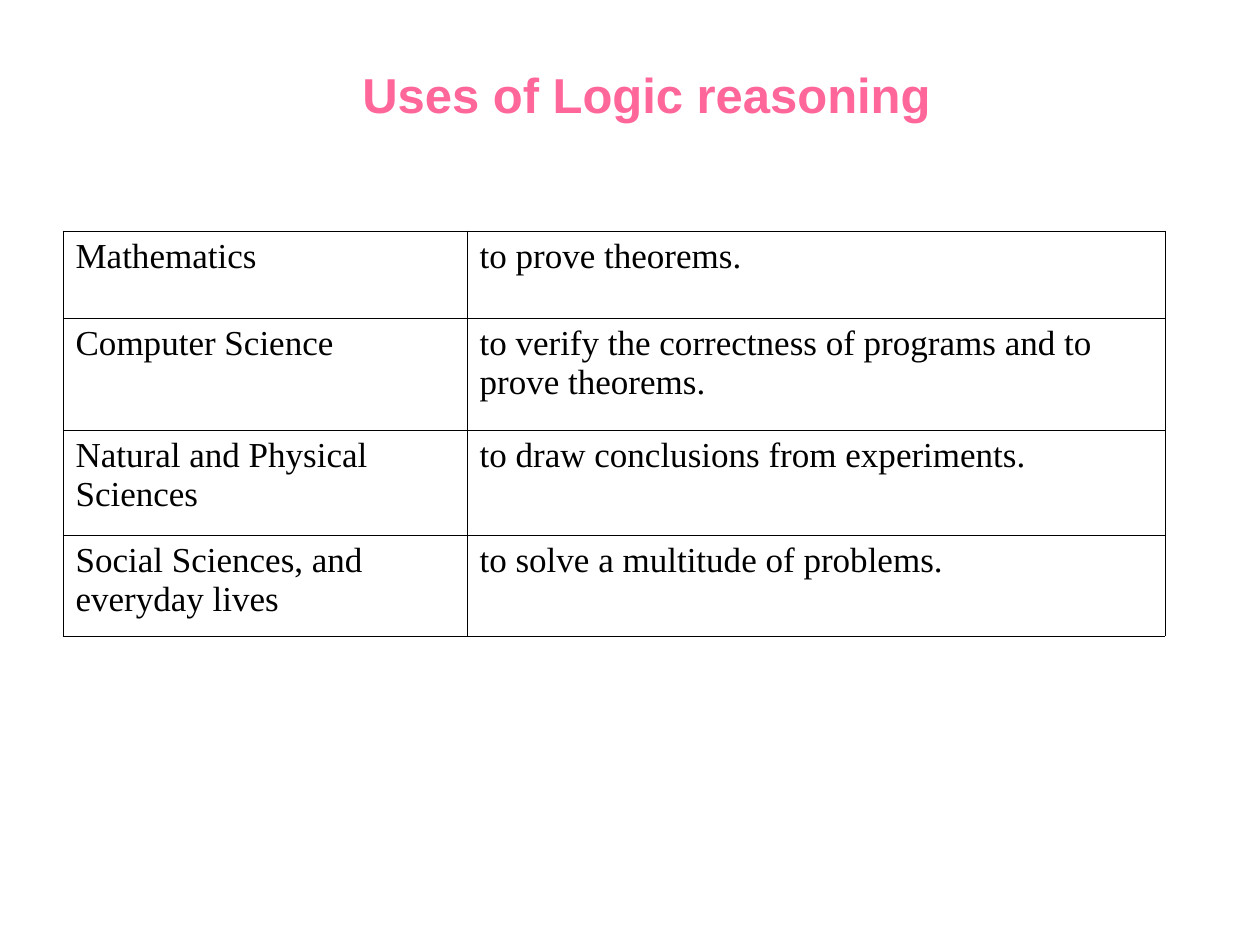
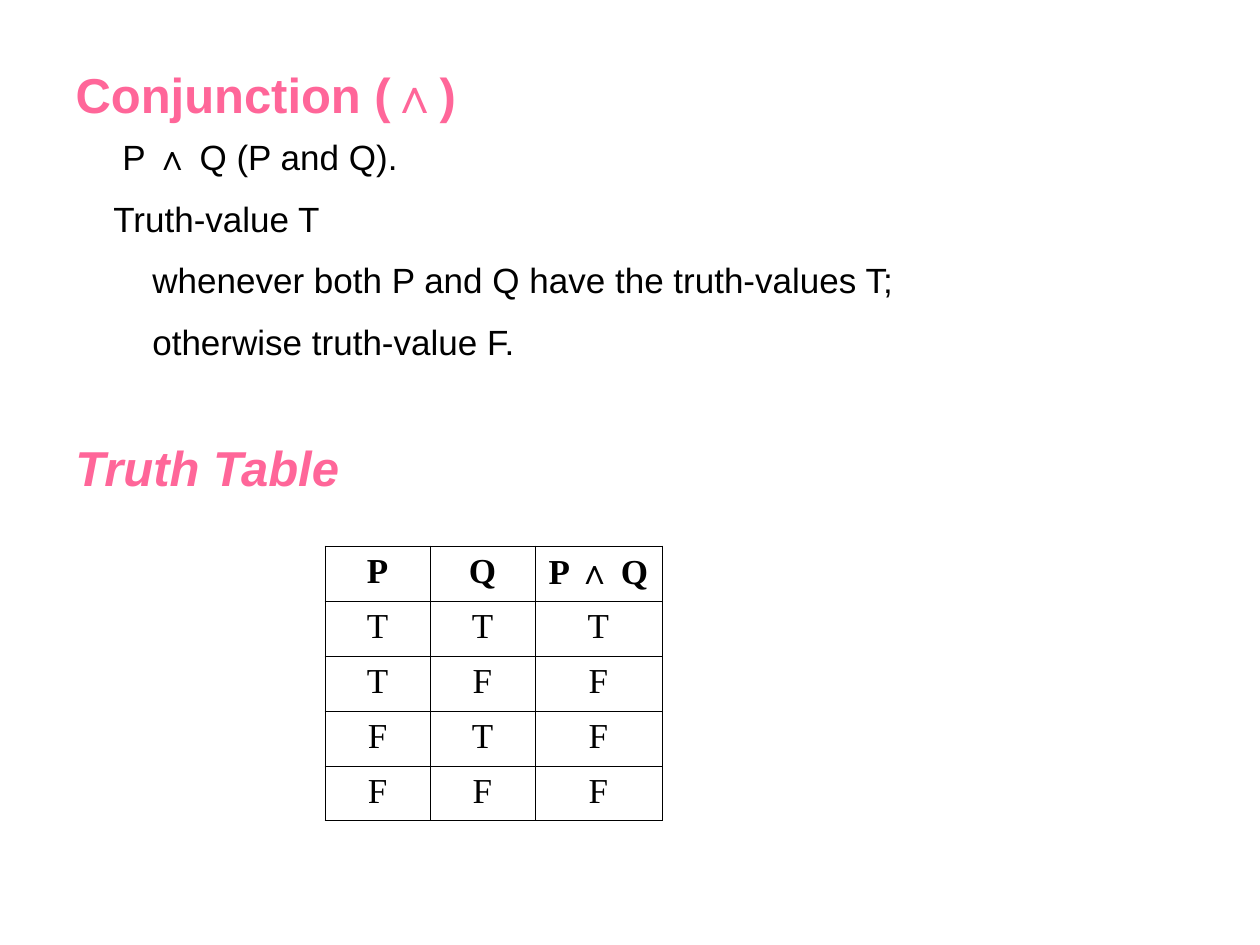
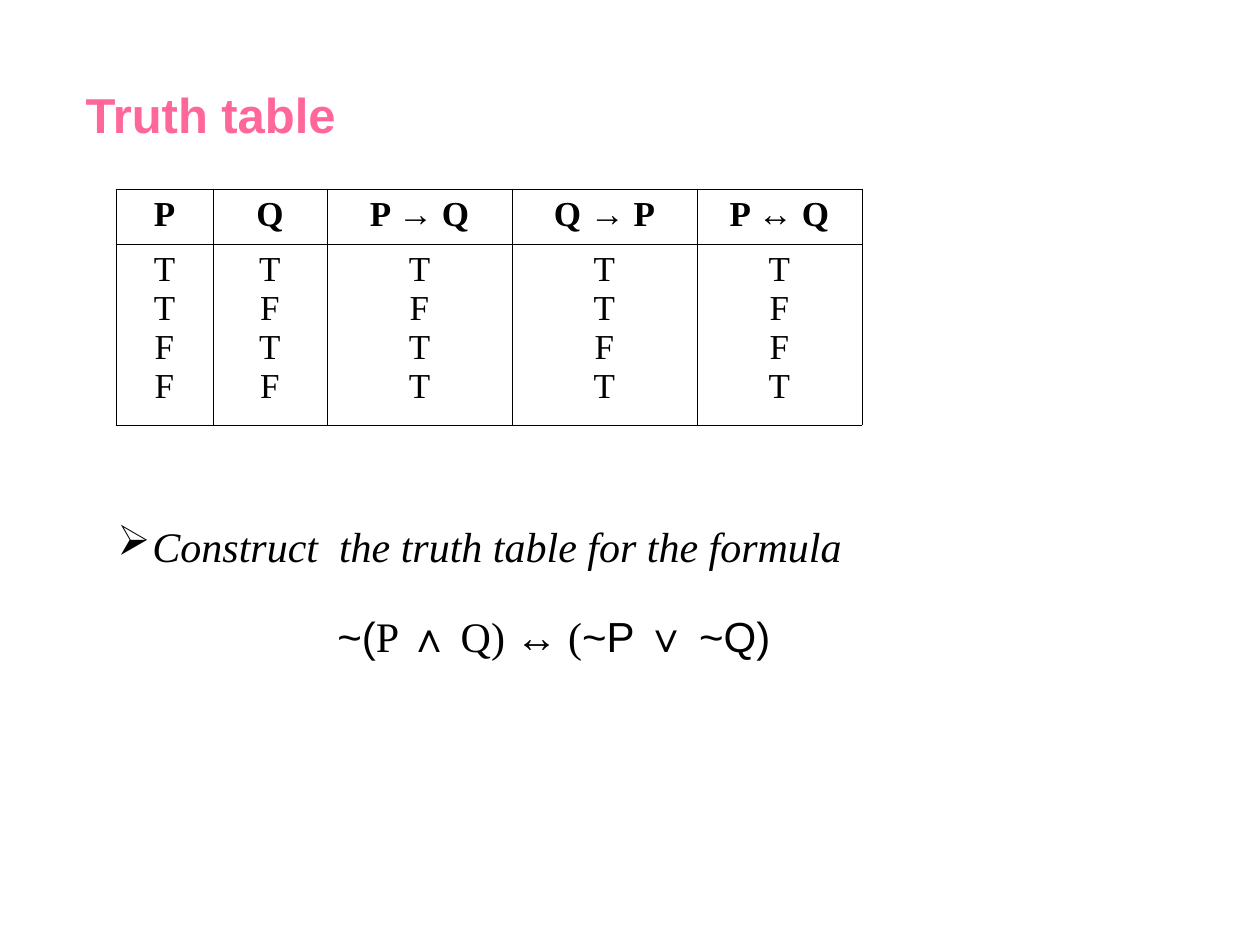
from lxml import etree
from pptx import Presentation
from pptx import util as u
from pptx.dml import color
from pptx.enum import text
from pptx.oxml import ns

PX = 914400 / 126
COLORS = {"heading": "FF6699", "ink": "000000"}
SANS, SERIF = "Arial", "Times New Roman"
LEFT, CENTER = text.PP_ALIGN.LEFT, text.PP_ALIGN.CENTER


def write(paragraph, content, size, font=SERIF, ink="ink", bold=False, italic=False, align=LEFT):
    """Fill a paragraph; pieces between bars are set in the sans font."""
    paragraph.alignment = align
    for index, piece in enumerate(content.split("|")):
        if not piece:
            continue
        run = paragraph.add_run()
        run.text = piece
        run.font.name = SANS if index % 2 else font
        run.font.size = u.Pt(size)
        run.font.bold, run.font.italic = bold, italic
        run.font.color.rgb = color.RGBColor.from_string(COLORS[ink])


def add_grid(slide, left, top, widths, heights, rows, header=True, align=CENTER):
    """Add an unfilled table with thin black rules."""
    box = [u.Emu(round(n * PX)) for n in (left, top, sum(widths), sum(heights))]
    table = slide.shapes.add_table(len(rows), len(widths), *box).table
    table.first_row = table.horz_banding = False
    for column, width in zip(table.columns, widths):
        column.width = u.Emu(round(width * PX))
    for row_index, (row, height) in enumerate(zip(rows, heights)):
        table.rows[row_index].height = u.Emu(round(height * PX))
        for column_index, content in enumerate(row):
            cell = table.cell(row_index, column_index)
            for line_index, line in enumerate(content.split("\n")):
                frame = cell.text_frame
                paragraph = frame.add_paragraph() if line_index else frame.paragraphs[0]
                write(paragraph, line, 20, bold=header and row_index == 0, align=align)
            properties = cell._tc.get_or_add_tcPr()
            for side in ("a:lnL", "a:lnR", "a:lnT", "a:lnB"):
                rule = etree.SubElement(properties, ns.qn(side), w=str(u.Pt(0.45)))
                fill = etree.SubElement(rule, ns.qn("a:solidFill"))
                etree.SubElement(fill, ns.qn("a:srgbClr"), val=COLORS["ink"])
            cell.fill.background()


presentation = Presentation()
presentation.slide_width = u.Emu(round(1260 * PX))
presentation.slide_height = u.Emu(round(945 * PX))

# Slides and their titles
titles = [
    ("Uses of Logic reasoning", (179, 53, 935, 131), CENTER),
    ("Conjunction (∧)", (63, 53, 1124, 72), LEFT),
    ("Truth table", (73, 73, 1134, 72), LEFT),
]
slides = []
for content, box, align in titles:
    slide = presentation.slides.add_slide(presentation.slide_layouts[5])
    title = slide.shapes.title
    title.left, title.top, title.width, title.height = [u.Emu(round(n * PX)) for n in box]
    frame = title.text_frame
    frame.auto_size = text.MSO_AUTO_SIZE.NONE
    frame.vertical_anchor = text.MSO_ANCHOR.TOP
    frame.margin_top = u.Emu(round(11 * PX))
    write(frame.paragraphs[0], content, 28, SANS, "heading", bold=True, align=align)
    slides.append(slide)
uses_slide, conjunction_slide, formula_slide = slides

# Uses of logic
uses = [
    ("Mathematics", "to prove theorems."),
    ("Computer Science", "to verify the correctness of programs and to prove theorems."),
    ("Natural and Physical Sciences", "to draw conclusions from experiments."),
    ("Social Sciences, and everyday lives", "to solve a multitude of problems."),
]
add_grid(uses_slide, 63, 231, (404, 698), (87, 112, 105, 101), uses, header=False, align=LEFT)

# Conjunction: definition and heading of its table
box = [u.Emu(round(n * PX)) for n in (63, 127, 1124, 400)]
frame = conjunction_slide.shapes.add_textbox(*box).text_frame
frame.word_wrap = True
frame.margin_top = 0
definition = [
    (47, "P ∧ Q (P and Q)."),
    (38, "Truth-value T"),
    (77, "whenever both P and Q have the truth-values T;"),
    (77, "otherwise truth-value F."),
]
paragraph = frame.paragraphs[0]
for indent, content in definition:
    write(paragraph, content, 20, SANS)
    paragraph.line_spacing = 1.2
    paragraph.space_before = u.Pt(6.5)
    paragraph._p.get_or_add_pPr().set("marL", str(round(indent * PX)))
    paragraph = frame.add_paragraph()
write(paragraph, "Truth Table", 28, SANS, "heading", bold=True, italic=True)
paragraph.space_before = u.Pt(43)

truth_rows = [("P", "Q", "P |∧| Q"), "TTT", "TFF", "FTF", "FFF"]
add_grid(conjunction_slide, 325, 546, (105, 105, 127), [55] * 5, truth_rows)

# Conditionals: one cell of values under each formula
formulas = ("P", "Q", "P |→| Q", "Q |→| P", "P |↔| Q")
values = ["\n".join(column) for column in ("TTFF", "TFTF", "TFTT", "TTFT", "TFFT")]
add_grid(formula_slide, 116, 189, (97, 114, 185, 185, 165), (55, 181), [formulas, values])

# Exercise
box = [u.Emu(round(n * PX)) for n in (105, 514, 966, 265)]
frame = formula_slide.shapes.add_textbox(*box).text_frame
frame.word_wrap = True
task = frame.paragraphs[0]
write(task, "Construct  the truth table for the formula", 24, italic=True)
properties = task._p.get_or_add_pPr()
properties.set("marL", str(round(35 * PX)))
properties.set("indent", str(round(-35 * PX)))
etree.SubElement(properties, ns.qn("a:buChar"), char="➢")
formula = frame.add_paragraph()
write(formula, "|~(|P |∧| Q) |↔| (|~P ∨ ~Q)", 24)
formula.space_before = u.Pt(23)
formula._p.get_or_add_pPr().set("marL", str(round(220 * PX)))

presentation.save("out.pptx")
